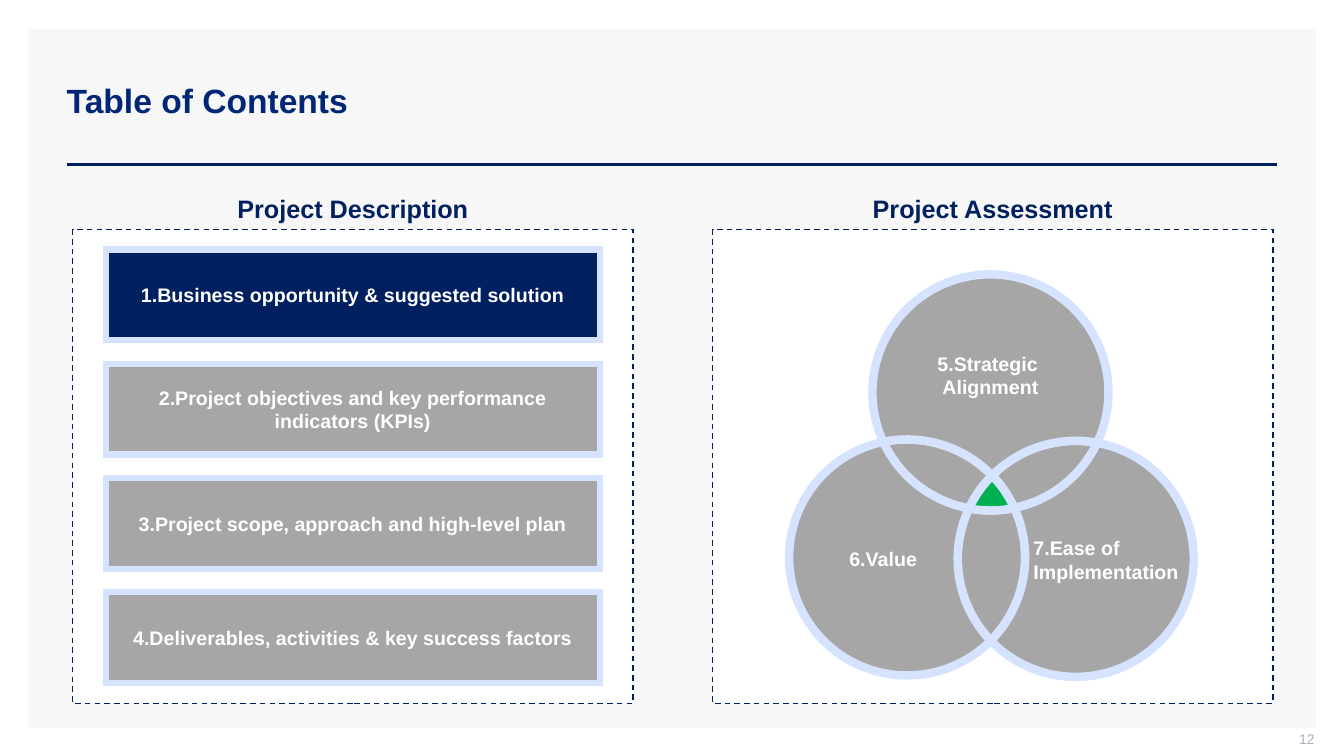
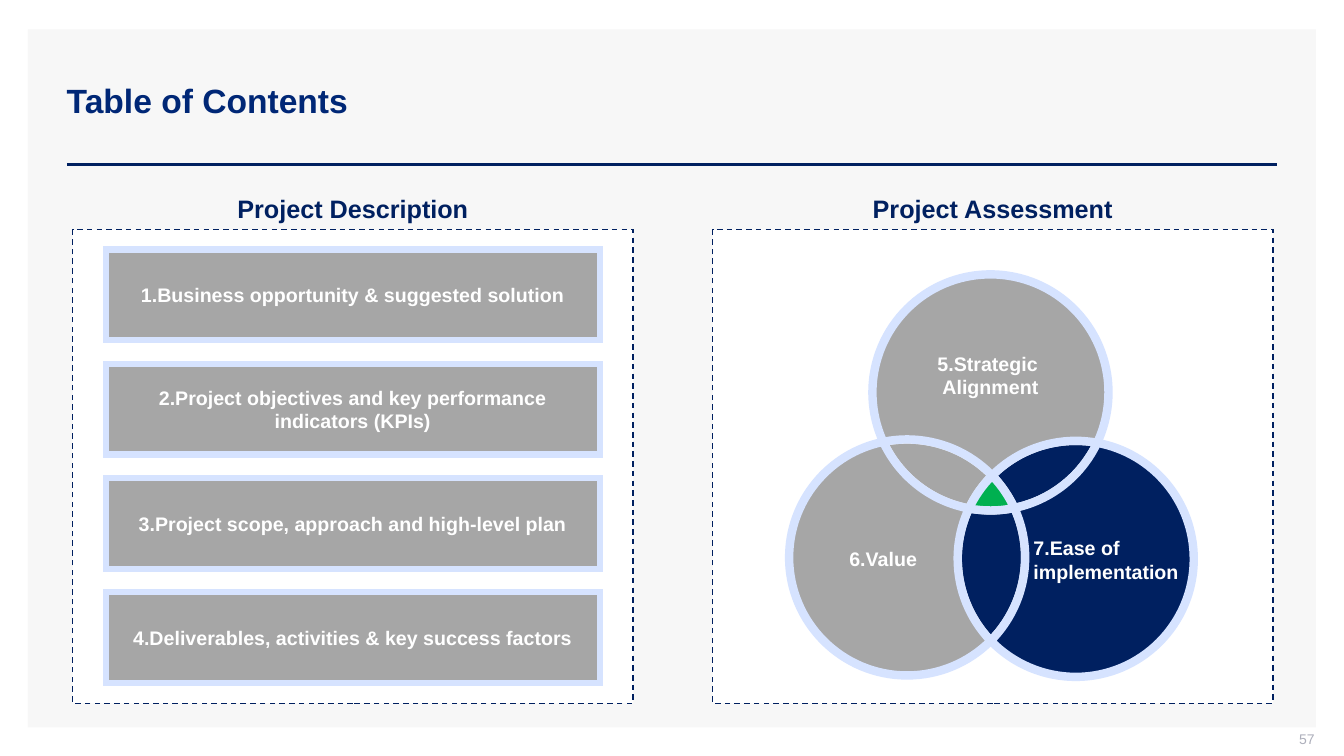
import dataclasses
import math
import typing

import lxml.etree
import pptx
import pptx.dml.color
import pptx.enum.dml
import pptx.enum.shapes
import pptx.enum.text
import pptx.oxml.ns
import pptx.util

Pt = pptx.util.Pt
qn = pptx.oxml.ns.qn
ALIGN = pptx.enum.text.PP_ALIGN
ANCHOR = pptx.enum.text.MSO_ANCHOR
RECTANGLE = pptx.enum.shapes.MSO_SHAPE.RECTANGLE

FONT = "Arial"
NAVY = "002060"
TITLE_BLUE = "002776"
GREY = "A6A6A6"
PALE_BLUE = "D6E3FF"
PALE_GREY = "F2F2F2"
PANEL_GREY = "F7F7F7"
NUMBER_GREY = "ADAFBB"
GREEN = "00B050"
WHITE = "FFFFFF"

Point = tuple[float, float]
Insets = tuple[float, float, float, float]


class Box(typing.NamedTuple):
    left: float
    top: float
    width: float
    height: float


class Circle(typing.NamedTuple):
    x: float
    y: float

    def at(self, angle: float) -> Point:
        return self.x + RADIUS * math.cos(angle), self.y + RADIUS * math.sin(angle)


class Curve(typing.NamedTuple):
    first_control: Point
    second_control: Point
    end: Point


@dataclasses.dataclass
class CircleLabel:
    text: str
    align: ALIGN = ALIGN.LEFT
    indent: float = 0


@dataclasses.dataclass
class ContentsSlide:
    page: int
    active: int
    ease_label: str


CONTENTS_SLIDES = [
    ContentsSlide(12, 1, "7.Ease of Implementation"),
    ContentsSlide(57, 7, "7.Ease of implementation"),
]
DESCRIPTION_ITEMS = [
    "1.Business opportunity & suggested solution",
    "2.Project objectives and key performance indicators (KPIs)",
    "3.Project scope, approach and high-level plan",
    "4.Deliverables, activities & key success factors",
]
HEADINGS = ["Project Description", "Project Assessment"]
FRAME = Box(52, 164, 400.3, 338.4)
FRAME_PITCH = 457
BAR = Box(75.6, 178.3, 352.8, 64.8)
BAR_PITCH = 81.6
RADIUS = 84.3
CIRCLES = [Circle(707.5, 280.3), Circle(648, 398.2), Circle(768.4, 399.2)]
FIRST_CIRCLE_NUMBER = 5


def color(value: str) -> pptx.dml.color.RGBColor:
    return pptx.dml.color.RGBColor.from_string(value)


def style(shape, fill: str, line: str | None = None, width: float = 1,
          dashed: bool = False) -> None:
    shape.shadow.inherit = False
    shape.fill.solid()
    shape.fill.fore_color.rgb = color(fill)
    if line is None:
        shape.line.fill.background()
        return
    shape.line.color.rgb = color(line)
    shape.line.width = Pt(width)
    if dashed:
        shape.line.dash_style = pptx.enum.dml.MSO_LINE.DASH


def write(shape, text: str, *, size: float = 14, text_color: str = WHITE, bold: bool = True,
          align: ALIGN = ALIGN.CENTER, anchor: ANCHOR = ANCHOR.MIDDLE,
          insets: Insets = (7.2, 3.6, 7.2, 3.6)) -> None:
    frame = shape.text_frame
    frame.word_wrap = True
    frame.vertical_anchor = anchor
    frame.margin_left, frame.margin_top, frame.margin_right, frame.margin_bottom = map(Pt, insets)
    frame.text = text
    for paragraph in frame.paragraphs:
        paragraph.alignment = align
        paragraph.font.name = FONT
        paragraph.font.size = Pt(size)
        paragraph.font.bold = bold
        paragraph.font.color.rgb = color(text_color)


def add_rectangle(slide, box: Box, fill: str, line: str | None = None, **line_format):
    shape = slide.shapes.add_shape(RECTANGLE, *map(Pt, box))
    style(shape, fill, line, **line_format)
    outline = shape._element.spPr.find(qn("a:ln"))
    lxml.etree.SubElement(outline, qn("a:miter"), lim="800000")
    return shape


def add_label(slide, box: Box, text: str, **text_format) -> None:
    write(slide.shapes.add_textbox(*map(Pt, box)), text, **text_format)


def add_base(slide, page: int) -> None:
    add_rectangle(slide, Box(20, 21, 920, 498.6), PANEL_GREY)
    rule = slide.shapes.add_connector(
        pptx.enum.shapes.MSO_CONNECTOR.STRAIGHT, Pt(47.75), Pt(117.25), Pt(912.25), Pt(117.25))
    rule.line.color.rgb = color(NAVY)
    rule.line.width = Pt(2)
    lxml.etree.SubElement(rule._element.spPr, qn("a:effectLst"))
    add_label(slide, Box(40.6, 29, 824.5, 85.5), "Table of Contents",
              size=24, text_color=TITLE_BLUE, align=ALIGN.LEFT)
    add_label(slide, Box(723, 522, 216, 15), str(page), size=10, text_color=NUMBER_GREY,
              bold=False, align=ALIGN.RIGHT, insets=(7.2, 0, 0, 3.6))


def add_frames(slide) -> None:
    for index, heading in enumerate(HEADINGS):
        frame = FRAME._replace(left=FRAME.left + index * FRAME_PITCH)
        add_rectangle(slide, frame, WHITE, NAVY, dashed=True)
        add_label(slide, Box(frame.left + 97.8, 134.5, 204.5, 29), heading,
                  size=18, text_color=NAVY, anchor=ANCHOR.TOP)


def add_bars(slide, active: int) -> None:
    for index, item in enumerate(DESCRIPTION_ITEMS):
        box = BAR._replace(top=BAR.top + index * BAR_PITCH)
        fill = NAVY if index + 1 == active else GREY
        write(add_rectangle(slide, box, fill, PALE_BLUE, width=4.5), item)


def crossings(first: Circle, second: Circle) -> tuple[Point, Point]:
    across, down = second.x - first.x, second.y - first.y
    distance = math.hypot(across, down)
    reach = math.sqrt(RADIUS ** 2 - distance ** 2 / 4) / distance
    middle_x, middle_y = (first.x + second.x) / 2, (first.y + second.y) / 2
    return ((middle_x - down * reach, middle_y + across * reach),
            (middle_x + down * reach, middle_y - across * reach))


def arc(circle: Circle, start: Point, end: Point, clockwise: bool = True) -> list[Curve]:
    if not clockwise:
        backward = arc(circle, end, start)
        ends = [curve.end for curve in backward[-2::-1]] + [end]
        return [Curve(curve.second_control, curve.first_control, point)
                for curve, point in zip(reversed(backward), ends)]
    first, last = (math.atan2(y - circle.y, x - circle.x) for x, y in (start, end))
    last = first + (last - first) % math.tau
    quarter = math.pi / 2
    extremes = range(math.floor(first / quarter) + 1, math.ceil(last / quarter))
    angles = [first, *(step * quarter for step in extremes), last]
    curves = []
    for begin, finish in zip(angles, angles[1:]):
        handle = 4 / 3 * math.tan((finish - begin) / 4) * RADIUS
        (begin_x, begin_y), (finish_x, finish_y) = circle.at(begin), circle.at(finish)
        curves.append(Curve(
            (begin_x - handle * math.sin(begin), begin_y + handle * math.cos(begin)),
            (finish_x + handle * math.sin(finish), finish_y - handle * math.cos(finish)),
            (finish_x, finish_y)))
    return curves


def add_region(slide, curves: list[Curve], fill: str, line: str):
    start, *others = [(Pt(x), Pt(y)) for x, y in [curves[-1].end, *(c.end for c in curves)]]
    builder = slide.shapes.build_freeform(*start)
    builder.add_line_segments(others, close=True)
    shape = builder.convert_to_shape()
    for segment, curve in zip(list(shape._element.iter(qn("a:lnTo"))), curves):
        bezier = lxml.etree.Element(qn("a:cubicBezTo"))
        for x, y in curve:
            lxml.etree.SubElement(bezier, qn("a:pt"), x=str(Pt(x) - shape.left),
                                  y=str(Pt(y) - shape.top))
        segment.getparent().replace(segment, bezier)
    style(shape, fill, line, width=6)
    return shape


def add_venn(slide, active: int, labels: list[CircleLabel]) -> None:
    pairs = [crossings(CIRCLES[i], CIRCLES[(i + 1) % 3]) for i in range(3)]
    outer = [pair[0] for pair in pairs]
    inner = [pair[1] for pair in pairs]
    fills = [NAVY if FIRST_CIRCLE_NUMBER + i == active else GREY for i in range(3)]

    for i in range(3):
        curves = (arc(CIRCLES[i - 2], outer[i], inner[i - 2])
                  + arc(CIRCLES[i - 1], inner[i - 2], inner[i - 1], clockwise=False)
                  + arc(CIRCLES[i], inner[i - 1], outer[i]))
        fill = NAVY if NAVY in (fills[i], fills[i - 2]) else GREY
        add_region(slide, curves, fill, PALE_GREY)

    for i, label in enumerate(labels):
        curves = (arc(CIRCLES[i], outer[i], outer[i - 1])
                  + arc(CIRCLES[i - 1], outer[i - 1], inner[i - 2], clockwise=False)
                  + arc(CIRCLES[i - 2], inner[i - 2], outer[i], clockwise=False))
        region = add_region(slide, curves, fills[i], PALE_BLUE)
        write(region, label.text, align=label.align, insets=(label.indent, 3.6, 0, 3.6))

    center = [curve for i in (0, 2, 1) for curve in arc(CIRCLES[i], inner[i], inner[i - 1])]
    add_region(slide, center, GREEN, PALE_BLUE)


def add_contents_slide(presentation, content: ContentsSlide) -> None:
    slide = presentation.slides.add_slide(presentation.slide_layouts[6])
    add_base(slide, content.page)
    add_frames(slide)
    add_bars(slide, content.active)
    add_venn(slide, content.active, [
        CircleLabel("5.Strategic \nAlignment", ALIGN.CENTER),
        CircleLabel("6.Value", indent=43),
        CircleLabel(content.ease_label, indent=30.5),
    ])


def main() -> None:
    presentation = pptx.Presentation()
    presentation.slide_width = Pt(960)
    presentation.slide_height = Pt(540)
    for content in CONTENTS_SLIDES:
        add_contents_slide(presentation, content)
    presentation.save("out.pptx")


if __name__ == "__main__":
    main()
